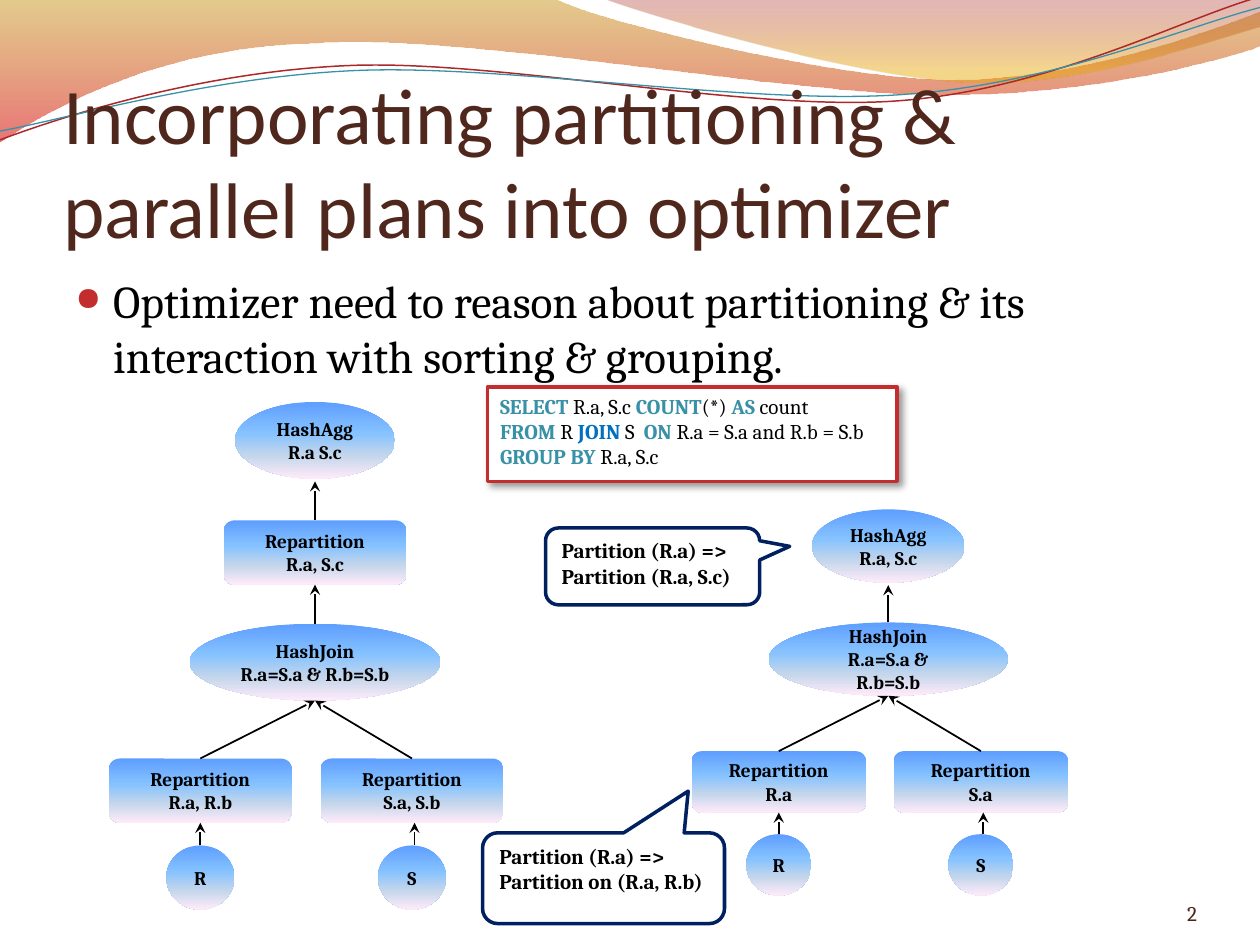
import math

from lxml import etree
from pptx import Presentation
from pptx import util as u
from pptx.dml.color import RGBColor
from pptx.enum import shapes, text
from pptx.oxml import ns

COLORS = {
    "black": "000000", "white": "FFFFFF", "title": "4F271C", "number": "4B251B",
    "red": "C32D2E", "teal": "3891A7", "blue": "0070C0", "navy": "002060",
    "crimson": "AC2829",
}
NODE_STOPS = [(0, "5E9EFF", 100), (40, "85C2FF", 100), (70, "C4D6EB", 100), (100, "FFEBFA", 100)]
LEFT_STOPS = [(0, "C38B00", 45), (100, "D60305", 55)]
RIGHT_STOPS = [(0, "A11112", 30), (80, "E9A600", 45)]
LEFT_BAND = [
    (0, 0), (4.4, -0.01), (4.76, 0.17, 6.64, 0.63, 7.58, 0.63),
    (8.53, 0.63, 9.58, 0.26, 10, 0.09), (10.01, 0.36),
    (9.83, 0.44, 8.7, 0.76, 7.46, 0.75), (6.22, 0.75, 3.82, 0.28, 2.57, 0.34),
    (1.29, 0.36, 0.46, 0.83, -0.01, 1.13), (0, 0),
]
RIGHT_BAND = [
    (4.79, -0.01), (5.09, 0.11, 6.82, 0.62, 7.69, 0.65),
    (8.56, 0.69, 9.61, 0.32, 10, 0.21), (10, 0), (4.79, -0.01),
]
CRIMSON_WAVE = [
    (0, 1.11), (0.48, 0.93, 1.58, 0.57, 2.77, 0.52),
    (3.95, 0.47, 5.93, 0.89, 7.13, 0.8), (8.33, 0.71, 9.38, 0.15, 9.98, -0.02),
]
TEAL_WAVE = [
    (0, 1.04), (0.47, 0.96, 1.64, 0.61, 2.83, 0.56),
    (4.03, 0.51, 5.97, 0.84, 7.17, 0.75), (8.36, 0.67, 9.41, 0.21, 10, 0.06),
]
QUERY = [
    [("SELECT ", "teal"), ("R.a, S.c ", "black"), ("COUNT", "teal"), ("(*) ", "black"),
     ("AS", "teal"), (" count", "black")],
    [("FROM ", "teal"), ("R ", "black"), ("JOIN ", "blue"), ("S  ", "black"),
     ("ON ", "teal"), ("R.a = S.a and R.b = S.b", "black")],
    [("GROUP BY ", "teal"), ("R.a, S.c", "black")],
]


def rgb(name):
    return RGBColor.from_string(COLORS[name])


def add_xml(parent, tag, **attributes):
    return etree.SubElement(parent, ns.qn(tag), attributes)


def style_run(span, size, color, bold=False, font="Cambria"):
    span.font.size = u.Pt(size)
    span.font.name = font
    span.font.bold = bold
    span.font.color.rgb = rgb(color)


def set_text(box, content, size, color, bold=False, font="Cambria",
             align=text.PP_ALIGN.LEFT, anchor=text.MSO_ANCHOR.TOP):
    frame = box.text_frame
    frame.text = content
    frame.word_wrap = True
    frame.auto_size = text.MSO_AUTO_SIZE.NONE
    frame.vertical_anchor = anchor
    for para in frame.paragraphs:
        para.alignment = align
        for span in para.runs:
            style_run(span, size, color, bold, font)


def set_insets(box, side, top, bottom):
    frame = box.text_frame
    frame.margin_left = frame.margin_right = u.Inches(side)
    frame.margin_top, frame.margin_bottom = u.Inches(top), u.Inches(bottom)


def set_line(box, color, width):
    box.line.color.rgb = rgb(color)
    box.line.width = u.Pt(width)


def set_gradient(box, stops):
    box.fill.gradient()
    box.fill.gradient_angle = 270
    stop_list = box.element.spPr.find(".//" + ns.qn("a:gsLst"))
    for stop in list(stop_list):
        stop_list.remove(stop)
    for position, color, alpha in stops:
        stop = add_xml(stop_list, "a:gs", pos=str(position * 1000))
        value = add_xml(stop, "a:srgbClr", val=color)
        if alpha < 100:
            add_xml(value, "a:alpha", val=str(alpha * 1000))


def turn(point, center, degrees):
    angle = math.radians(degrees)
    x, y = point[0] - center[0], point[1] - center[1]
    return (center[0] + x * math.cos(angle) - y * math.sin(angle),
            center[1] + x * math.sin(angle) + y * math.cos(angle))


def add_outline(canvas, steps, close, center=(0, 0), tilt=0):
    points = [turn(step[i:i + 2], center, tilt) for step in steps for i in range(0, len(step), 2)]
    points = [(u.Inches(x), u.Inches(y)) for x, y in points]
    builder = canvas.shapes.build_freeform(*points[0])
    builder.add_line_segments(points[1:], close=close)
    outline = builder.convert_to_shape()
    segments = iter(outline.element.spPr.findall(".//" + ns.qn("a:lnTo")))
    for step in steps[1:]:
        first = next(segments)
        if len(step) == 6:
            first.tag = ns.qn("a:cubicBezTo")
            for segment in (next(segments), next(segments)):
                first.append(segment[0])
                segment.getparent().remove(segment)
    outline.rotation = -tilt
    outline.shadow.inherit = False
    return outline


def add_band(page, steps, stops):
    band = add_outline(page, steps, True)
    set_gradient(band, stops)
    band.line.fill.background()


def add_wave(canvas, steps, center, color, width):
    wave = add_outline(canvas, steps, False, center, 2.7)
    wave.fill.background()
    set_line(wave, color, width)


def add_box(canvas, kind, left, top, width, height):
    box = canvas.shapes.add_shape(kind, *map(u.Inches, (left, top, width, height)))
    box.shadow.inherit = False
    return box


def add_text(page, left, top, width, height):
    return page.shapes.add_textbox(*map(u.Inches, (left, top, width, height)))


def add_title(page, content):
    title = page.shapes.title
    title.element.getparent().append(title.element)
    title.left, title.top, title.width, title.height = map(u.Inches, (0.5, 0.77, 9, 1.25))
    set_text(title, content, 45, "title", font="Calibri", anchor=text.MSO_ANCHOR.BOTTOM)
    set_insets(title, 0, 0.05, 0)


def add_bullet(page, content):
    box = add_text(page, 0.5, 2.12, 9, 1.13)
    set_text(box, content, 26, "black")
    para = box.text_frame.paragraphs[0]
    para.space_before = u.Pt(5.2)
    props = para._p.get_or_add_pPr()
    props.set("marL", str(u.Inches(0.3)))
    props.set("indent", str(u.Inches(-0.3)))
    add_xml(add_xml(props, "a:buClr"), "a:srgbClr", val=COLORS["red"])
    add_xml(props, "a:buSzPct", val="72000")
    add_xml(props, "a:buChar", char="●")


def add_query(page):
    box = add_box(page, shapes.MSO_SHAPE.RECTANGLE, 3.87, 3.07, 3.25, 0.75)
    box.fill.solid()
    box.fill.fore_color.rgb = rgb("white")
    set_line(box, "red", 2)
    effects = box.element.spPr.find(ns.qn("a:effectLst"))
    shadow = add_xml(effects, "a:outerShdw", blurRad=str(u.Pt(4)), dist=str(u.Pt(3)),
                     dir="2700000", algn="tl", rotWithShape="0")
    add_xml(add_xml(shadow, "a:srgbClr", val=COLORS["black"]), "a:alpha", val="40000")
    set_text(box, "", 12, "black")
    para = box.text_frame.paragraphs[0]
    for number, line in enumerate(QUERY):
        if number:
            para.add_line_break()
        for content, color in line:
            span = para.add_run()
            span.text = content
            style_run(span, 12, color, color != "black")


def add_callout(page, left, top, width, height, tip, content):
    box = add_box(page, shapes.MSO_SHAPE.ROUNDED_RECTANGULAR_CALLOUT, left, top, width, height)
    box.adjustments[0], box.adjustments[1] = tip
    box.fill.background()
    set_line(box, "navy", 2)
    set_text(box, content, 12, "black", True)


def add_arrow(canvas, start, end):
    arrow = canvas.shapes.add_connector(
        shapes.MSO_CONNECTOR.STRAIGHT, *map(u.Inches, (*start, *end)))
    set_line(arrow, "black", 1)
    add_xml(arrow.line._get_or_add_ln(), "a:tailEnd", type="stealth")
    add_xml(arrow.element.spPr, "a:effectLst")


def add_plan(page, center, top, scale, upper, inputs):
    sizes = {"agg": (1.27, 0.61), "join": (1.99, 0.61), "repart": (1.45, 0.51), "scan": (0.54, 0.51)}
    plan = page.shapes.add_group_shape()
    nodes = [("join", 0, 0, "HashJoin\nR.a=S.a & R.b=S.b")]
    nodes += [(role, 0, y, content) for role, y, content in upper]
    arrows = [((0, base), (0, base - 0.31)) for base in (0, -0.82)[:len(upper)]]
    for x, arrow_x, (table, keys) in zip((-0.91, 0.77), (-0.91, 0.79), inputs):
        nodes += [("repart", x, 1.07, "Repartition\n" + keys), ("scan", x, 1.76, table)]
        arrows += [((arrow_x, 1.76), (arrow_x, 1.58)), ((x, 1.07), (0, 0.61))]

    def place(x, y):
        return center + x * scale, top + y * scale

    for role, x, y, content in nodes:
        kind = shapes.MSO_SHAPE.ROUNDED_RECTANGLE if role == "repart" else shapes.MSO_SHAPE.OVAL
        width, height = sizes[role]
        box = add_box(plan, kind, *place(x - width / 2, y), width * scale, height * scale)
        set_gradient(box, NODE_STOPS)
        box.line.fill.background()
        set_text(box, content, 11, "black", True, align=text.PP_ALIGN.CENTER,
                 anchor=text.MSO_ANCHOR.MIDDLE)
    for start, end in arrows:
        add_arrow(plan, place(*start), place(*end))


def main():
    deck = Presentation()
    deck.slide_width, deck.slide_height = u.Inches(10), u.Inches(7.5)
    page = deck.slides.add_slide(deck.slide_layouts[5])
    add_band(page, LEFT_BAND, LEFT_STOPS)
    add_band(page, RIGHT_BAND, RIGHT_STOPS)
    waves = page.shapes.add_group_shape()
    add_wave(waves, CRIMSON_WAVE, (4.99, 0.58), "crimson", 0.85)
    add_wave(waves, TEAL_WAVE, (5, 0.59), "teal", 0.75)
    add_title(page, "Incorporating partitioning & parallel plans into optimizer")
    add_bullet(page, "Optimizer need to reason about partitioning & its interaction with sorting & grouping.")
    add_query(page)
    add_plan(page, 2.5, 4.95, 1,
             [("repart", -0.82, "Repartition\nR.a, S.c"), ("agg", -1.76, "HashAgg\nR.a S.c")],
             [("R", "R.a, R.b"), ("S", "S.a, S.b")])
    add_plan(page, 7.05, 4.94, 1.9 / 1.99, [("agg", -0.94, "HashAgg\nR.a, S.c")],
             [("R", "R.a"), ("S", "S.a")])
    add_callout(page, 3.83, 6.61, 1.92, 0.72, (0.35, -0.96), "Partition (R.a) => Partition on (R.a, R.b)")
    add_callout(page, 4.33, 4.19, 1.7, 0.61, (0.64, -0.26), "Partition (R.a) => Partition (R.a, S.c)")
    number = add_text(page, 8.67, 6.95, 0.83, 0.4)
    set_text(number, "2", 12, "number", align=text.PP_ALIGN.RIGHT, anchor=text.MSO_ANCHOR.BOTTOM)
    set_insets(number, 0, 0, 0)
    deck.save("out.pptx")


if __name__ == "__main__":
    main()
